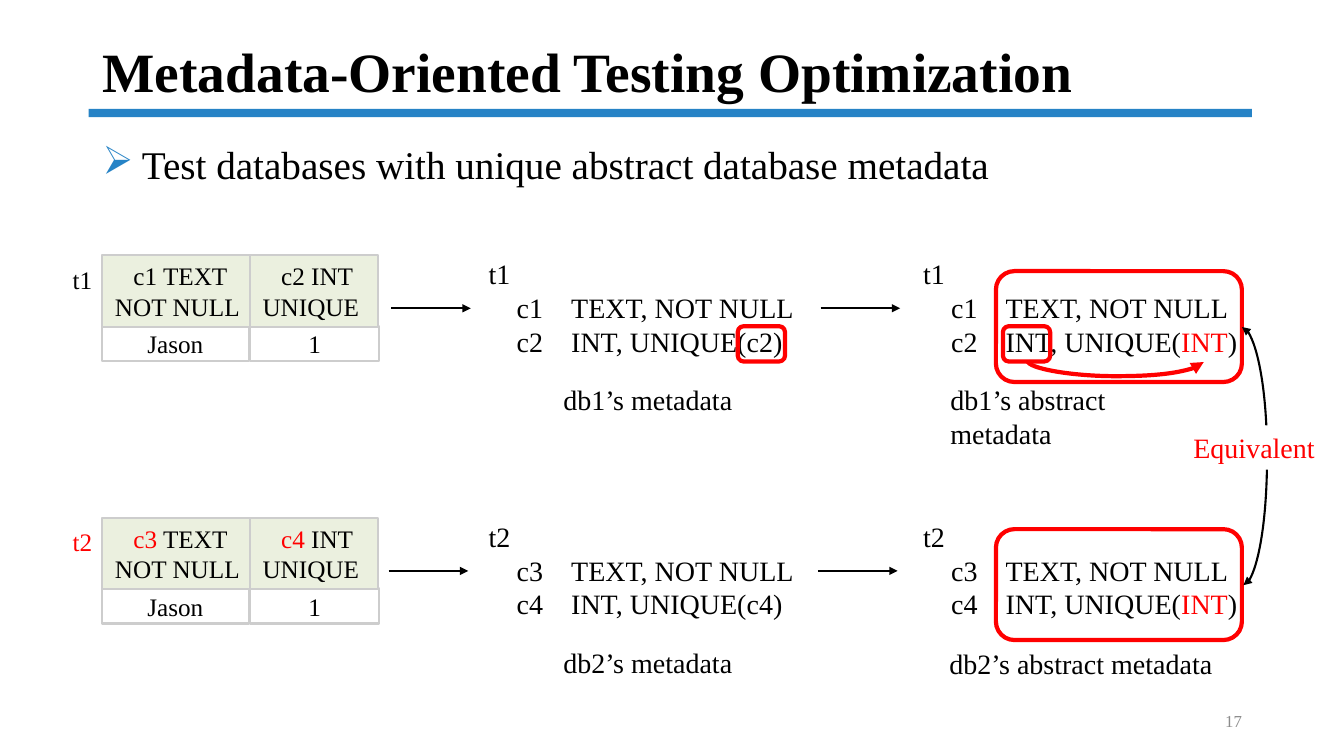
from lxml.etree import SubElement
from pptx import Presentation
from pptx.dml.color import RGBColor
from pptx.enum.shapes import MSO_CONNECTOR, MSO_SHAPE
from pptx.enum.text import MSO_ANCHOR, MSO_AUTO_SIZE, PP_ALIGN
from pptx.oxml.ns import qn
from pptx.util import Pt

BLACK, RED, BLUE = "000000", "FF0000", "2683C6"
GREY, GREEN, WHITE = "CDCDCD", "EBF0DF", "FFFFFF"
STEP = 187.6
FREE = {"word_wrap": False, "auto_size": MSO_AUTO_SIZE.SHAPE_TO_FIT_TEXT}
WRAP = {"word_wrap": True}
MID = {"word_wrap": True, "vertical_anchor": MSO_ANCHOR.MIDDLE}
CELL = {"alignment": PP_ALIGN.CENTER}


def color(code):
    return RGBColor.from_string(code)


def style(item, values):
    for name, value in values.items():
        setattr(item, name, value)


def child(node, tag, **values):
    return SubElement(node, qn(tag), values)


def write(shape, text, size, frame=FREE, para=None, ink=BLACK, bold=False):
    style(shape.text_frame, frame)
    for row, line in enumerate(text.split("\n")):
        body = shape.text_frame
        item = body.add_paragraph() if row else body.paragraphs[0]
        style(item, para or {})
        for turn, part in enumerate(line.split("|")):
            if part:
                run = item.add_run()
                run.text = part
                style(run.font, {"name": "Times New Roman", "size": Pt(size), "bold": bold})
                run.font.color.rgb = color(RED if turn % 2 else ink)
    return shape


def label(slide, box, text, size=20, **look):
    return write(slide.shapes.add_textbox(*map(Pt, box)), text, size, **look)


def block(slide, box, kind=MSO_SHAPE.RECTANGLE, fill=None, line=None, width=1.5):
    shape = slide.shapes.add_shape(kind, *map(Pt, box))
    shape.shadow.inherit = False
    if fill:
        shape.fill.solid()
        shape.fill.fore_color.rgb = color(fill)
    else:
        shape.fill.background()
    if line:
        shape.line.color.rgb = color(line)
        shape.line.width = Pt(width)
    else:
        shape.line.fill.background()
    return shape


def ring(slide, *box):
    block(slide, box, MSO_SHAPE.ROUNDED_RECTANGLE, line=RED, width=3)


def arrow(slide, ends, ink=BLACK, width=1.5, bend=None, turn=0, heads=("tailEnd",)):
    kind = MSO_CONNECTOR.CURVE if bend else MSO_CONNECTOR.STRAIGHT
    link = slide.shapes.add_connector(kind, *map(Pt, ends))
    link.line.color.rgb = color(ink)
    link.line.width = Pt(width)
    for head in heads:
        child(link.line._get_or_add_ln(), "a:" + head, type="triangle")
    props = link._element.spPr
    child(props, "a:effectLst")
    if turn:
        props.find(qn("a:xfrm")).set("rot", str(turn * 60000))
    if bend:
        guides = props.find(qn("a:prstGeom")).find(qn("a:avLst"))
        child(guides, "a:gd", name="adj1", fmla=f"val {round(bend * 100000)}")


def schema(slide, left, top, width, text):
    shape = label(slide, (left, top, width, 79.9), text)
    for item in shape.text_frame.paragraphs:
        tabs = child(item._p.get_or_add_pPr(), "a:tabLst")
        for stop in (20, 58.9):
            child(tabs, "a:tab", pos=str(Pt(stop)), algn="l")


def table(slide, top, name, first, second):
    label(slide, (40.3, top + 2.9, 33.8, 31.7), name, 18)
    for left, width, text in ((72.7, 105.1, "Jason"), (178.6, 92.2, "1")):
        cell = block(slide, (left, top + 50.4, width, 25.2), line=GREY)
        write(cell, text, 18, MID, CELL)
    heads = (
        (72.7, 108, f" {first} TEXT\nNOT NULL", True),
        (178.6, 91.4, f" {second} INT\nUNIQUE ", False),
    )
    for left, width, text, wrap in heads:
        cell = block(slide, (left, top, width, 51.1), fill=GREEN, line=GREY)
        write(cell, text, 18, MID | {"word_wrap": wrap}, CELL)


def header(slide):
    block(slide, (63.4, 77.8, 830.9, 5.8), fill=BLUE)
    label(slide, (66.2, 28.8, 828, 49), "Metadata-Oriented Testing Optimization", 39.6,
          frame=MID, para={"line_spacing": 0.9}, bold=True)
    point = label(slide, (66.2, 100.8, 828, 38.2),
                  "Test databases with unique abstract database metadata", 28,
                  frame=WRAP, para={"line_spacing": 0.9})
    props = point.text_frame.paragraphs[0]._p.get_or_add_pPr()
    style_values = {"marL": Pt(28.1), "indent": -Pt(28.1)}
    for name, value in style_values.items():
        props.set(name, str(value))
    child(child(props, "a:buClr"), "a:srgbClr", val=BLUE)
    child(props, "a:buChar", char="➢")
    label(slide, (678.2, 500.4, 216, 28.8), "17", 12, frame=MID,
          para={"alignment": PP_ALIGN.RIGHT}, ink="8C8C8C")


def flow(slide, row, name, first, second, tint):
    down = row * STEP
    mark = "|" if tint else ""
    table(slide, 182.2 + down, f" {mark}{name}", *(f"{mark}{col}{mark}" for col in (first, second)))
    text = f"{name}\n\t{first}\tTEXT, NOT NULL\n\t{second}\tINT, UNIQUE("
    schema(slide, 342, 180 + down, 234, f"{text}{second})")
    schema(slide, 652.3, 180 + down, 241.2, f"{text}|INT|)")
    label(slide, (395.3, 270 + down, 136.1, 31.7), f"db{row + 1}’s metadata")
    for left in (279.4, 586.1):
        start = left - row * 1.8
        arrow(slide, (start, 220.2 + down, start + 56.9, 220.2 + down))
    ring(slide, 711.4, 193.7 + row * 184.3, 175.7, 79.2)


def main():
    deck = Presentation()
    deck.slide_width, deck.slide_height = Pt(960), Pt(540)
    slide = deck.slides.add_slide(deck.slide_layouts[6])
    header(slide)
    flow(slide, 0, "t1", "c1", "c2", False)
    flow(slide, 1, "t2", "c3", "c4", True)
    label(slide, (671.8, 270, 190, 55.4), "db1’s abstract metadata", frame=WRAP)
    label(slide, (671, 457.9, 203.8, 31.7), "db2’s abstract metadata")
    for left in (527, 716.4):
        ring(slide, left, 233, 33.8, 25.2)
    arrow(slide, (797.3, 195.1, 796.3, 321.1), RED, 3, bend=11.19, turn=270)
    arrow(slide, (887.2, 233.6, 888.2, 418), bend=18, heads=("headEnd", "tailEnd"))
    note = block(slide, (845.3, 303.8, 102.2, 31.7), fill=WHITE)
    write(note, "|Equivalent", 20, FREE, {"alignment": PP_ALIGN.LEFT})
    deck.save("out.pptx")


if __name__ == "__main__":
    main()
